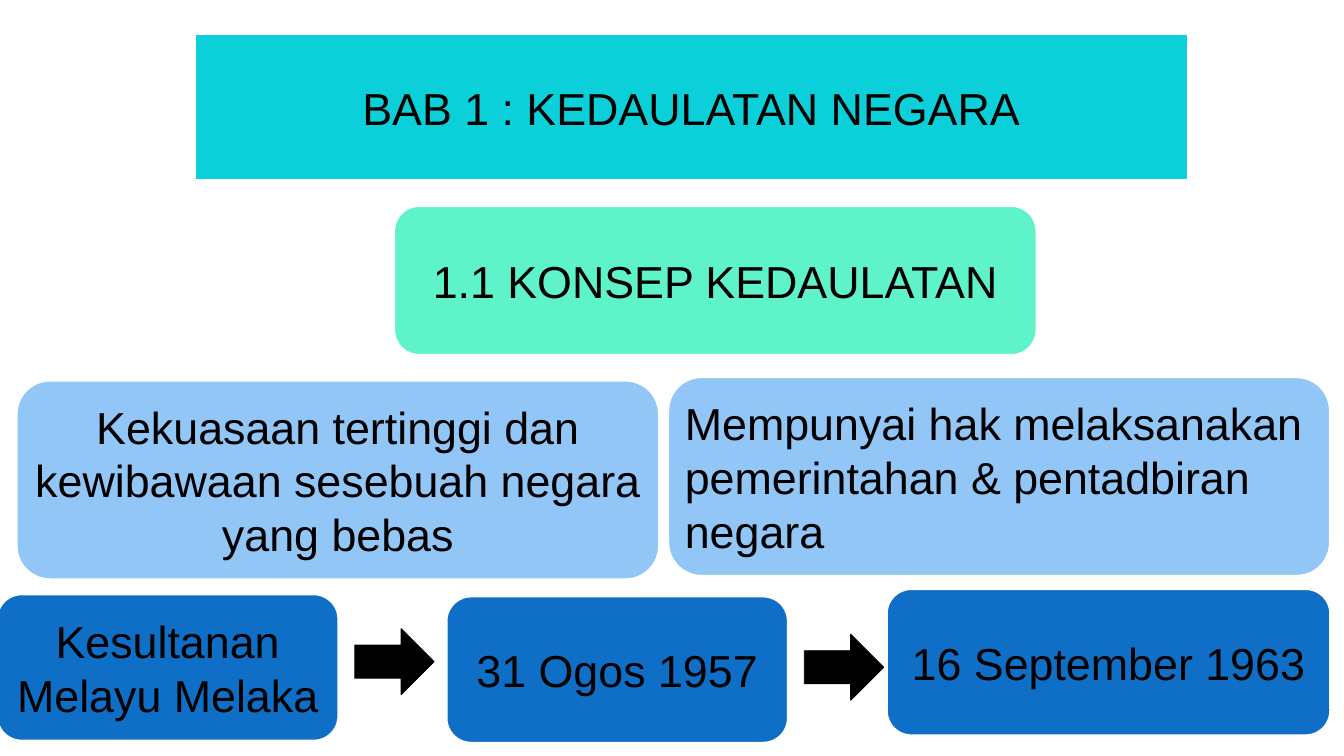
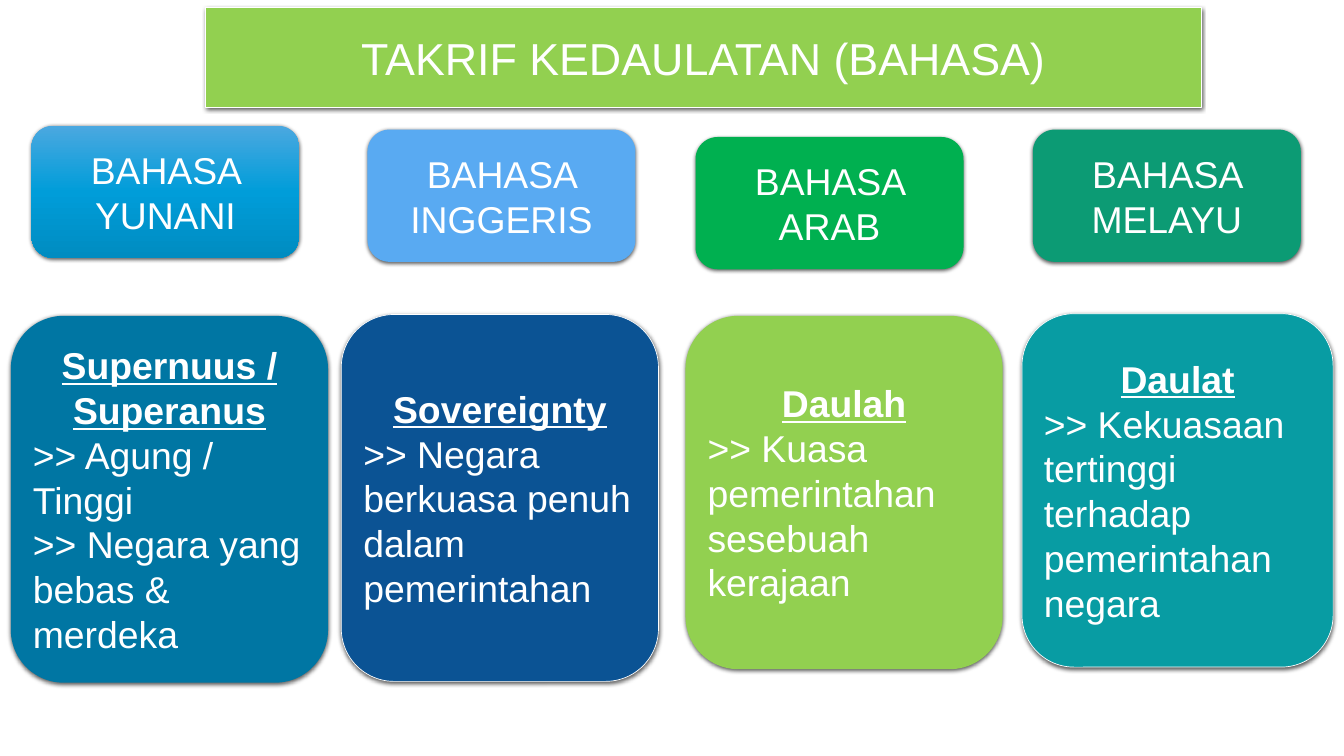
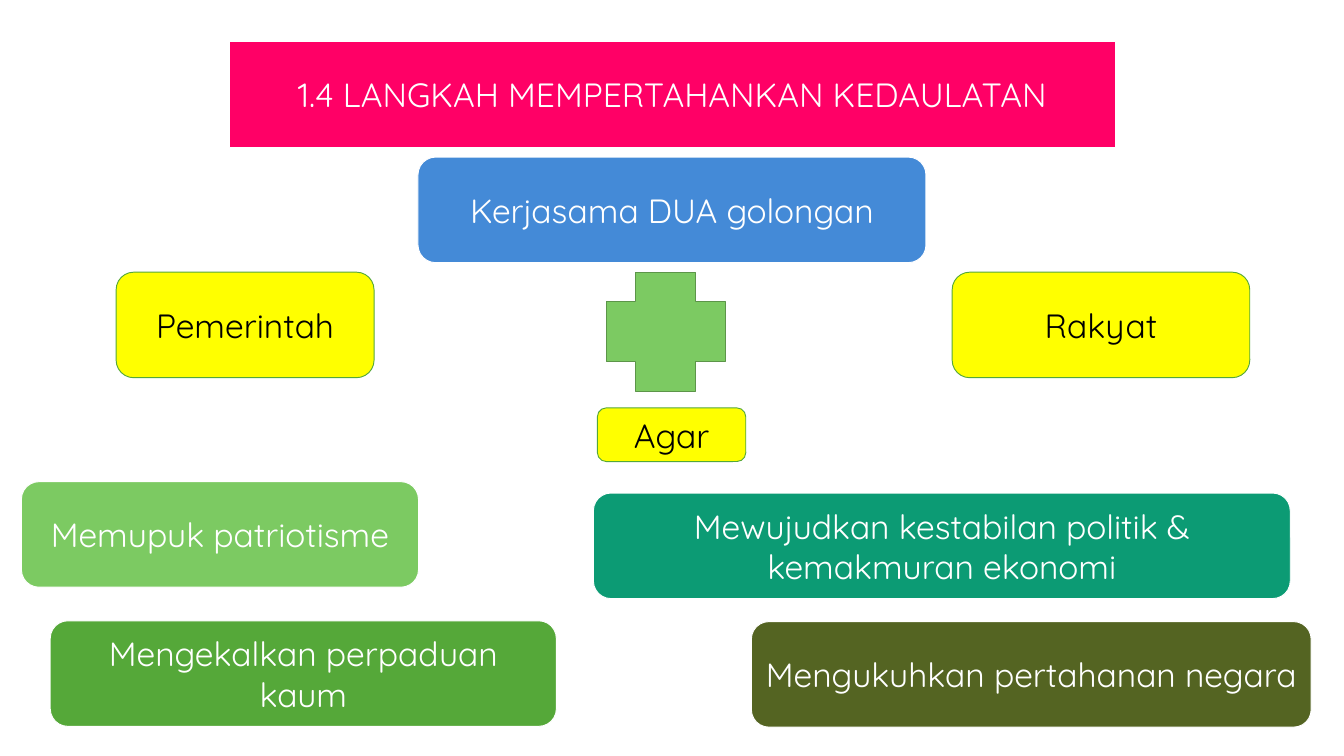
from copy import deepcopy

from lxml import etree
from pptx import Presentation
from pptx import util as u
from pptx.dml.color import RGBColor
from pptx.enum import shapes, text
from pptx.oxml import ns

WHITE = RGBColor(0xFF, 0xFF, 0xFF)
BLACK = RGBColor(0x00, 0x00, 0x00)
CYAN = RGBColor(0x0B, 0xD0, 0xD9)
MINT = RGBColor(0x5F, 0xF3, 0xCA)
PALE_BLUE = RGBColor(0x91, 0xC6, 0xF7)
BLUE = RGBColor(0x0F, 0x6F, 0xC6)
SKY = RGBColor(0x59, 0xAA, 0xF2)
MID_BLUE = RGBColor(0x44, 0x8A, 0xD7)
OCEAN = RGBColor(0x00, 0x76, 0xA3)
NAVY = RGBColor(0x0B, 0x53, 0x94)
TURQUOISE = RGBColor(0x08, 0x9C, 0xA3)
TEAL = RGBColor(0x0C, 0x9B, 0x74)
EMERALD = RGBColor(0x00, 0xB0, 0x50)
LIME = RGBColor(0x92, 0xD0, 0x50)
LIGHT_GREEN = RGBColor(0x7C, 0xCA, 0x62)
GREEN = RGBColor(0x55, 0xA8, 0x39)
DARK_GREEN = RGBColor(0x5C, 0x95, 0x49)
OLIVE = RGBColor(0x54, 0x64, 0x22)
PINK = RGBColor(0xFF, 0x00, 0x66)
YELLOW = RGBColor(0xFF, 0xFF, 0x00)
BLUE_GRADIENT = (
    (0, RGBColor(0x4B, 0xA8, 0xE0)),
    (0.5, RGBColor(0x00, 0x9D, 0xD9)),
    (1, RGBColor(0x00, 0x8C, 0xC1)),
)

ARIAL = "Arial"
QUICKSAND = "Quicksand"
CENTER = text.PP_ALIGN.CENTER
LEFT = text.PP_ALIGN.LEFT
LINE_HEIGHT = 1.2
TITLE_ONLY = 5


def write_text(shape, *lines, size=48, font=ARIAL, color=BLACK, align=CENTER, heading=None):
    """Fill the shape with paragraphs, below a bold underlined heading if given."""
    frame = shape.text_frame
    frame.word_wrap = True
    frame.auto_size = text.MSO_AUTO_SIZE.NONE
    frame.vertical_anchor = text.MSO_ANCHOR.MIDDLE
    paragraphs = ([heading] if heading else []) + list(lines)
    frame.text = "\n".join(paragraphs)
    for index, paragraph in enumerate(frame.paragraphs):
        is_heading = heading is not None and index == 0
        paragraph.alignment = CENTER if is_heading else align
        paragraph.line_spacing = u.Pt(size * LINE_HEIGHT)
        for run in paragraph.runs:
            run.font.name = font
            run.font.size = u.Pt(size)
            run.font.color.rgb = color
            run.font.bold = is_heading
            run.font.underline = is_heading


def fill_gradient(shape, stops):
    shape.fill.gradient()
    shape.fill.gradient_angle = 270
    stop_list = shape._element.spPr.find(".//" + ns.qn("a:gsLst"))
    while len(stop_list) < len(stops):
        stop_list.append(deepcopy(stop_list[0]))
    for stop, (position, color) in zip(shape.fill.gradient_stops, stops):
        stop.position = position
        stop.color.rgb = color


def add_drop_shadow(shape):
    effects = shape._element.spPr.find(ns.qn("a:effectLst"))
    shadow = etree.SubElement(
        effects, ns.qn("a:outerShdw"), blurRad=str(u.Pt(4.5)), dist=str(u.Pt(1.5)),
        dir="5400000", algn="ctr", rotWithShape="0")
    color = etree.SubElement(shadow, ns.qn("a:srgbClr"), val=str(BLACK))
    etree.SubElement(color, ns.qn("a:alpha"), val="63000")


def style_shape(shape, fill, line=None, line_width=1, shadow=False):
    shape.shadow.inherit = False
    if isinstance(fill, RGBColor):
        shape.fill.solid()
        shape.fill.fore_color.rgb = fill
    else:
        fill_gradient(shape, fill)
    if line is None:
        shape.line.fill.background()
    else:
        shape.line.color.rgb = line
        shape.line.width = u.Pt(line_width)
    if shadow:
        add_drop_shadow(shape)


def add_figure(slide, kind, box, fill, **style):
    shape = slide.shapes.add_shape(kind, *map(u.Cm, box))
    style_shape(shape, fill, **style)
    return shape


def add_box(slide, box, fill, **style):
    return add_figure(slide, shapes.MSO_SHAPE.ROUNDED_RECTANGLE, box, fill, **style)


def add_titled_slide(presentation, title_text, box, fill, text_format, **style):
    """Add a slide whose title placeholder is a rounded coloured band."""
    slide = presentation.slides.add_slide(presentation.slide_layouts[TITLE_ONLY])
    title = slide.shapes.title
    title.left, title.top, title.width, title.height = map(u.Cm, box)
    geometry = etree.SubElement(title._element.spPr, ns.qn("a:prstGeom"), prst="roundRect")
    etree.SubElement(geometry, ns.qn("a:avLst"))
    style_shape(title, fill, **style)
    write_text(title, title_text, **text_format)
    return slide


def build_concept(presentation):
    border = dict(line=WHITE, line_width=1.5)
    slide = add_titled_slide(presentation, "BAB 1 : KEDAULATAN NEGARA",
                             (7.39, 1.3, 37.49, 5.51), CYAN, {}, **border)
    boxes = (
        ("1.1 KONSEP KEDAULATAN", (14.91, 7.8, 24.26, 5.61), MINT, CENTER),
        ("Kekuasaan tertinggi dan kewibawaan sesebuah negara yang bebas",
         (0.64, 14.4, 24.26, 7.49), PALE_BLUE, CENTER),
        ("Mempunyai hak melaksanakan pemerintahan & pentadbiran negara",
         (25.27, 14.27, 24.99, 7.49), PALE_BLUE, LEFT),
        ("Kesultanan Melayu Melaka", (-0.1, 22.48, 12.88, 5.51), BLUE, CENTER),
        ("31 Ogos 1957", (16.89, 22.56, 12.88, 5.51), BLUE, CENTER),
        ("16 September 1963", (33.53, 22.28, 16.74, 5.51), BLUE, CENTER),
    )
    for label, box, fill, align in boxes:
        write_text(add_box(slide, box, fill, **border), label, align=align)
    for left, top in ((13.41, 23.77), (30.4, 23.98)):
        add_figure(slide, shapes.MSO_SHAPE.RIGHT_ARROW, (left, top, 3, 2.49), BLACK, line=BLACK)


def build_definitions(presentation):
    border = dict(line=WHITE, line_width=0.75)
    slide = add_titled_slide(presentation, "TAKRIF KEDAULATAN (BAHASA)",
                             (7.77, 0.28, 37.64, 3.78), LIME, dict(color=WHITE),
                             shadow=True, **border)
    languages = (
        ("BAHASA YUNANI", 1.19, 4.75, BLUE_GRADIENT),
        ("BAHASA INGGERIS", 13.89, 4.9, SKY),
        ("BAHASA ARAB", 26.29, 5.18, EMERALD),
        ("BAHASA MELAYU", 39.04, 4.9, TEAL),
    )
    for language, left, top, fill in languages:
        shape = add_box(slide, (left, top, 10.13, 5), fill, shadow=True)
        write_text(shape, language, size=40, color=WHITE)

    definitions = (
        ("Supernuus / Superanus", (">> Agung / Tinggi", ">> Negara yang bebas & merdeka"),
         (0.41, 11.94, 11.99, 13.87), OCEAN, {}),
        ("Sovereignty", (">> Negara berkuasa penuh dalam pemerintahan",),
         (12.9, 11.89, 11.99, 13.87), NAVY, border),
        ("Daulah", (">> Kuasa pemerintahan sesebuah kerajaan",),
         (25.91, 11.94, 11.99, 13.36), LIME, {}),
        ("Daulat", (">> Kekuasaan tertinggi terhadap pemerintahan negara",),
         (38.63, 11.86, 11.76, 13.36), TURQUOISE, border),
    )
    for term, meanings, box, fill, outline in definitions:
        shape = add_box(slide, box, fill, shadow=True, **outline)
        write_text(shape, *meanings, heading=term, size=40, color=WHITE, align=LEFT)


def build_defence_steps(presentation):
    text_format = dict(size=36, font=QUICKSAND)
    height = 3.99
    slide = add_titled_slide(presentation, "1.4 LANGKAH MEMPERTAHANKAN KEDAULATAN",
                             (8.66, 1.57, 33.5, height), PINK,
                             dict(color=WHITE, **text_format), line=WHITE)
    steps = (
        ("Kerjasama DUA golongan", (15.8, 5.94, 19.2, height), MID_BLUE),
        ("Memupuk patriotisme", (0.81, 18.21, 15.01, height), LIGHT_GREEN),
        ("Mewujudkan kestabilan politik & kemakmuran ekonomi",
         (22.43, 18.64, 26.34, height), TEAL),
        ("Mengekalkan perpaduan kaum", (1.9, 23.47, 19.13, height), GREEN),
        ("Mengukuhkan pertahanan negara", (28.4, 23.5, 21.16, height), OLIVE),
    )
    for label, box, fill in steps:
        write_text(add_box(slide, box, fill, line=WHITE), label, color=WHITE, **text_format)

    yellow_boxes = (
        ("Pemerintah", (4.39, 10.29, 9.75, height)),
        ("Rakyat", (35.99, 10.29, 11.25, height)),
        ("Agar", (22.58, 15.42, 5.61, 2.03)),
    )
    for label, box in yellow_boxes:
        write_text(add_box(slide, box, YELLOW, line=GREEN), label, **text_format)
    add_figure(slide, shapes.MSO_SHAPE.CROSS, (22.91, 10.29, 4.5, 4.5), LIGHT_GREEN,
               line=DARK_GREEN)


def main():
    presentation = Presentation()
    presentation.slide_width = u.Cm(50.8)
    presentation.slide_height = u.Cm(28.58)
    build_concept(presentation)
    build_definitions(presentation)
    build_defence_steps(presentation)
    presentation.save("out.pptx")


if __name__ == "__main__":
    main()
